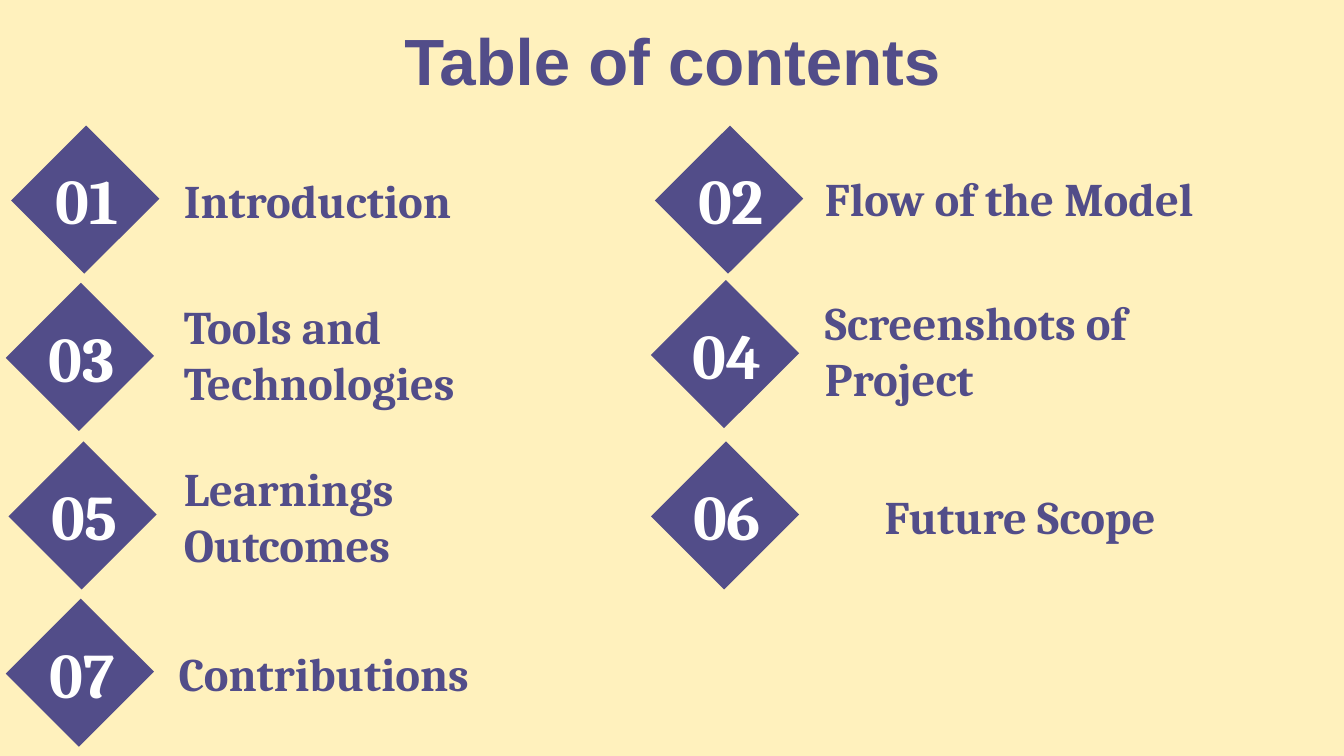
import pptx
import pptx.util
import pptx.dml.color
import pptx.enum.shapes
import pptx.enum.text

Inches = pptx.util.Inches
Align = pptx.enum.text.PP_ALIGN
CREAM = pptx.dml.color.RGBColor(0xFF, 0xF1, 0xBD)
PURPLE = pptx.dml.color.RGBColor(0x52, 0x4D, 0x89)
WHITE = pptx.dml.color.RGBColor(0xFF, 0xFF, 0xFF)

# Diamond left and top; label left, top, width and height; label, alignment
ITEMS = [
    (0.24, 1.10, (1.27, 1.30, 2.58, 0.37), "Introduction", Align.LEFT),
    (5.03, 1.10, (6.04, 1.16, 3.96, 0.63), "Flow of the Model", Align.LEFT),
    (0.20, 2.27, (1.27, 2.32, 3.10, 0.63), "Tools and Technologies",
     Align.LEFT),
    (5.00, 2.25, (6.04, 2.29, 3.23, 0.63), "Screenshots of Project",
     Align.LEFT),
    (0.22, 3.45, (1.27, 3.52, 3.10, 0.63), "Learnings Outcomes", Align.LEFT),
    (5.00, 3.45, (6.04, 3.52, 3.10, 0.63), "Future Scope", Align.CENTER),
    (0.20, 4.62, (1.23, 4.69, 4.15, 0.63), "Contributions", Align.LEFT),
]


class Page:
    """Holds the style and the current slide."""
    head_font = "Arial"
    body_font = "Cambria"

    def __init__(self, slide):
        self.slide = slide
        fill = slide.background.fill
        fill.solid()
        fill.fore_color.rgb = CREAM

    def diamond(self, left, top):
        shape = self.slide.shapes.add_shape(
            pptx.enum.shapes.MSO_SHAPE.RECTANGLE,
            Inches(left), Inches(top), Inches(0.79), Inches(0.77))
        shape.rotation = 315
        shape.shadow.inherit = False
        shape.fill.solid()
        shape.fill.fore_color.rgb = PURPLE
        shape.line.fill.background()

    def text(self, words, area, size,
             color=PURPLE, align=Align.CENTER, font=body_font):
        box = self.slide.shapes.add_textbox(*map(Inches, area))
        frame = box.text_frame
        frame.word_wrap = True
        frame.vertical_anchor = pptx.enum.text.MSO_ANCHOR.MIDDLE
        frame.margin_left = frame.margin_right = Inches(0.1)
        frame.margin_top = frame.margin_bottom = Inches(0.1)
        frame.text = words
        par = frame.paragraphs[0]
        par.alignment = align
        style = par.runs[0].font
        style.name = font
        style.size = pptx.util.Pt(size)
        style.bold = True
        style.color.rgb = color

    def item(self, num, left, top, area, label, align):
        """Draw a numbered diamond with its label."""
        self.diamond(left, top)
        self.text(f"{num:02}", (left - 0.19, top + 0.07, 1.2, 0.63), 34, WHITE)
        self.text(label, area, 25, align=align)


def main():
    deck = pptx.Presentation()
    deck.slide_width = Inches(10)
    deck.slide_height = deck.slide_width * 9 // 16
    page = Page(deck.slides.add_slide(deck.slide_layouts[6]))
    page.text("Table of contents", (0.88, 0.18, 8.25, 0.52), 35,
              font=page.head_font)
    for num, item in enumerate(ITEMS, 1):
        page.item(num, *item)
    deck.save("out.pptx")


if __name__ == "__main__":
    main()
